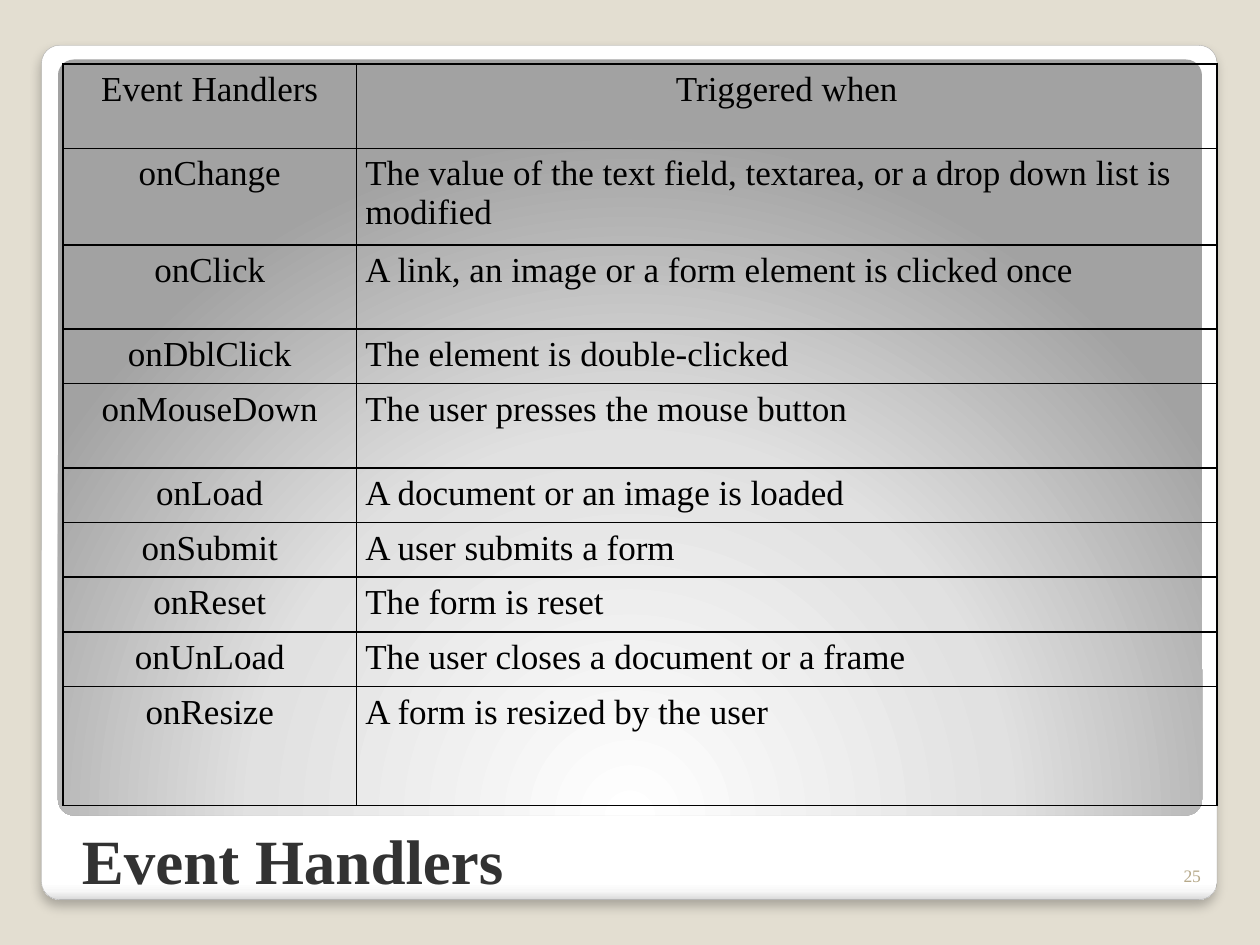
from dataclasses import dataclass

from lxml.etree import SubElement
from pptx import Presentation
from pptx.dml.color import RGBColor
from pptx.enum.shapes import MSO_SHAPE
from pptx.enum.text import MSO_ANCHOR, PP_ALIGN
from pptx.oxml import parse_xml
from pptx.oxml.ns import nsdecls, qn
from pptx.util import Inches, Pt


@dataclass(frozen=True)
class Theme:
    font: str = "Times New Roman"
    background: str = "E3DED1"
    outline: str = "A4A4A4"
    ink: str = "000000"
    title: str = "323232"
    number: str = "B6A98A"
    title_size: int = 36
    body_size: int = 20
    number_size: int = 10
    card_stops: tuple = ((0, "FFFFFF"), (98, "FFFFFF"), (99, "F7F7F7"), (100, "DADADA"))
    panel_stops: tuple = ((0, "FFFFFF"), (55, "E1E1E1"), (100, "A2A2A2"))


LINEAR = '<a:lin ang="5400000" scaled="0"/>'
FROM_BELOW = ('<a:path path="circle"><a:fillToRect l="50000" t="175000" '
              'r="50000" b="-75000"/></a:path>')

HANDLERS = [
    ("Event Handlers", "Triggered when"),
    ("onChange", "The value of the text field, textarea, or a drop down list is modified"),
    ("onClick", "A link, an image or a form element is clicked once"),
    ("onDblClick", "The element is double-clicked"),
    ("onMouseDown", "The user presses the mouse button"),
    ("onLoad", "A document or an image is loaded"),
    ("onSubmit", "A user submits a form"),
    ("onReset", "The form is reset"),
    ("onUnLoad", "The user closes a document or a frame"),
    ("onResize", "A form is resized by the user"),
]
SINGLE, ROOMY = 0.055, 0.089  # row heights as shares of the slide
ROW_SHARES = [ROOMY, 0.097, ROOMY, SINGLE, ROOMY] + [SINGLE] * 4 + [0.126]


class SlideBuilder:
    """Holds the theme and slide; boxes are shares of the slide's size."""

    def __init__(self, presentation, theme):
        self.theme = theme
        self.width = presentation.slide_width
        self.height = presentation.slide_height
        self.slide = presentation.slides.add_slide(presentation.slide_layouts[5])
        background = self.slide.background.fill
        background.solid()
        background.fore_color.rgb = RGBColor.from_string(theme.background)

    def box(self, left, top, width, height):
        return (round(left * self.width), round(top * self.height),
                round(width * self.width), round(height * self.height))

    def format_text(self, text_frame, size, color, align=PP_ALIGN.LEFT, bold=False):
        for paragraph in text_frame.paragraphs:
            paragraph.alignment = align
            for run in paragraph.runs:
                run.font.name = self.theme.font
                run.font.size = Pt(size)
                run.font.bold = bold
                run.font.color.rgb = RGBColor.from_string(color)

    def rounded_panel(self, box, stops, direction):
        shape = self.slide.shapes.add_shape(MSO_SHAPE.ROUNDED_RECTANGLE, *self.box(*box))
        shape.adjustments[0] = 0.021
        shape.shadow.inherit = False
        shape.line.fill.background()
        stop_xml = "".join(f'<a:gs pos="{share * 1000}"><a:srgbClr val="{color}"/></a:gs>'
                           for share, color in stops)
        gradient = parse_xml(f'<a:gradFill {nsdecls("a")} rotWithShape="1">'
                             f'<a:gsLst>{stop_xml}</a:gsLst>{direction}</a:gradFill>')
        shape.element.spPr.find(qn("a:prstGeom")).addnext(gradient)
        return shape

    def card(self, box):
        shape = self.rounded_panel(box, self.theme.card_stops, LINEAR)
        shape.line.color.rgb = RGBColor.from_string(self.theme.outline)
        shape.line.width = Pt(0.16)
        effects = shape.element.spPr.find(qn("a:effectLst"))
        shadow = SubElement(effects, qn("a:outerShdw"), blurRad=str(Pt(6)),
                            dist=str(Pt(4)), dir="5400000", algn="t", rotWithShape="0")
        color = SubElement(shadow, qn("a:srgbClr"), val="000000")
        SubElement(color, qn("a:alpha"), val="25000")

    def title(self, text, box):
        shape = self.slide.shapes.title
        shape.left, shape.top, shape.width, shape.height = self.box(*box)
        shape.text_frame.text = text
        shape.text_frame.vertical_anchor = MSO_ANCHOR.BOTTOM
        self.format_text(shape.text_frame, self.theme.title_size, self.theme.title, bold=True)
        # The placeholder comes first in the stack: lift it above the panels
        shape.element.getparent().append(shape.element)

    def page_number(self, text, box):
        text_frame = self.slide.shapes.add_textbox(*self.box(*box)).text_frame
        text_frame.word_wrap = True
        text_frame.text = text
        text_frame.vertical_anchor = MSO_ANCHOR.BOTTOM
        self.format_text(text_frame, self.theme.number_size, self.theme.number, PP_ALIGN.RIGHT)

    def border_cell(self, cell):
        properties = cell._tc.get_or_add_tcPr()
        for index, side in enumerate(("lnL", "lnR", "lnT", "lnB")):
            properties.insert(index, parse_xml(
                f'<a:{side} {nsdecls("a")} w="{Pt(1)}"><a:solidFill>'
                f'<a:srgbClr val="{self.theme.ink}"/></a:solidFill></a:{side}>'))

    def table(self, rows, left, top, column_shares, row_shares):
        box = self.box(left, top, sum(column_shares), sum(row_shares))
        table = self.slide.shapes.add_table(len(rows), len(column_shares), *box).table
        table.first_row = table.horz_banding = False
        for column, share in zip(table.columns, column_shares):
            column.width = round(share * self.width)
        for row, share in zip(table.rows, row_shares):
            row.height = round(share * self.height)
        for row_index, texts in enumerate(rows):
            for column_index, text in enumerate(texts):
                cell = table.cell(row_index, column_index)
                cell.text_frame.text = text
                cell.margin_left = cell.margin_right = Inches(0.07)
                cell.margin_top = cell.margin_bottom = Inches(0.05)
                cell.fill.background()
                self.border_cell(cell)
                centred = row_index == 0 or column_index == 0
                self.format_text(cell.text_frame, self.theme.body_size, self.theme.ink,
                                 PP_ALIGN.CENTER if centred else PP_ALIGN.LEFT)


def main():
    presentation = Presentation()
    presentation.slide_width, presentation.slide_height = Inches(10), Inches(7.5)
    theme = Theme()
    builder = SlideBuilder(presentation, theme)

    # Backdrop
    builder.card((0.033, 0.048, 0.933, 0.904))
    builder.rounded_panel((0.046, 0.063, 0.908, 0.8), theme.panel_stops, FROM_BELOW)

    # Title and page number
    builder.title("Event Handlers", (0.055, 0.803, 0.895, 0.153))
    builder.page_number("25", (0.913, 0.891, 0.05, 0.053))

    # Event handler table
    builder.table(HANDLERS, 0.05, 0.068, (0.233, 0.683), ROW_SHARES)

    presentation.save("out.pptx")


if __name__ == "__main__":
    main()
